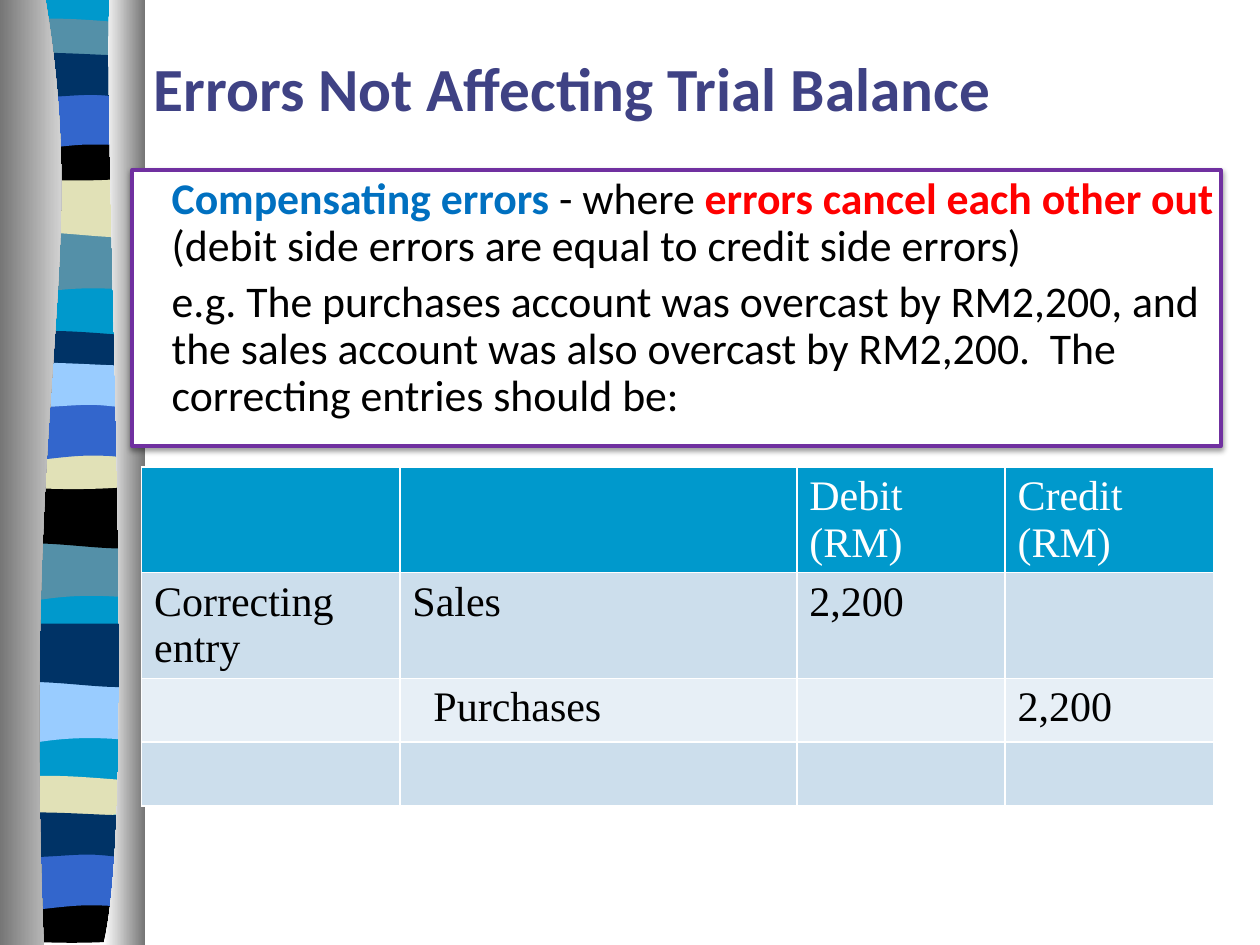
from lxml.etree import SubElement
from pptx import Presentation
from pptx.dml.color import RGBColor
from pptx.enum.shapes import MSO_SHAPE
from pptx.enum.text import MSO_ANCHOR, PP_ALIGN
from pptx.oxml.ns import qn
from pptx.util import Pt

TITLE = "Errors Not Affecting Trial Balance"
BODY = [
    [("Compensating errors ", "0070C0", True),
     ("- where ", "000000", False),
     ("errors cancel each other out ", "FF0000", True),
     ("(debit side errors are equal to credit side errors)", "000000", False)],
    [("e.g. The purchases account was overcast by RM2,200, and the sales account "
      "was also overcast by RM2,200.  The correcting entries should be:", "000000", False)],
]
ROWS = [
    ["", "", "Debit (RM)", "Credit (RM)"],
    ["Correcting entry", "Sales", "2,200", ""],
    ["", "Purchases", "", "2,200"],
    ["", "", "", ""],
]
INDENTED = {"Purchases"}
COL_WIDTHS = [147.6, 226.8, 119, 119]
ROW_HEIGHT = 30.1
ROW_FILLS = ["0099CC", "CCDEEC", "E7EFF6", "CCDEEC"]

# Outlines in points: a pair is a corner, six numbers are a cubic curve.
BANDS = {
    "dip": [(78, 0), (78, 34), (24, 28, 13, 40, 0, 34), (0, 0)],
    "swell": [(78, 0), (78, 34.5), (65, 40, 24, 30, 0, 34.5), (0, 0)],
    "lens": [(78, 0), (78, 17.5), (65, 20.5, 13, 20.5, 0, 17.5), (0, 0),
             (5, -3.5, 17, -3, 29.5, -3), (43, -3, 68, -0.5, 78, 0)],
    "bowl": [(78, 0), (78, 23.5), (65, 27, 13, 27, 0, 23.5), (0, 0),
             (47, 3.5, 60.5, 0, 78, 0)],
    "arch": [(78, 0), (78, 34), (65.5, 30, 60.5, 30, 47.5, 30),
             (34.5, 30, 11.5, 34, 0, 34), (0, 0)],
    "ripple": [(78, 0), (78, 22.5), (73, 26, 61, 22.5, 48, 22.5),
               (35, 22.5, 8, 26, 0, 22.5), (0, 0),
               (11, -3.5, 53, 0, 66, 0), (79, 0, 76, 0, 78, 0)],
}
# Each group: left, then (colour, top) for the bands in the order above.
BAND_GROUPS = [
    (4, [("5490A8", 132.5), ("E1E1B7", 99.4), ("5490A8", 13.7),
         ("000000", 77), ("3366CC", 52.6), ("003366", 31.7)]),
    (3, [("5490A8", 308.2), ("000000", 277.2), ("003366", 192.2),
         ("E1E1B7", 253.4), ("3366CC", 230.4), ("99CCFF", 208.8)]),
    (2, [("99CCFF", 389.5), ("003366", 356.4), ("E1E1B7", 446.4),
         ("000000", 512.6), ("3366CC", 487.4), ("003366", 465.8)]),
]
BASE = [(82, 0), (82, 538), (4, 538), (4, 0)]
PILLARS = [
    ([(26, 0), (52, 155.5, 12.2, 213, 25, 540), (0, 540), (0, 0)], "767676", "FFFFFF"),
    ([(62.6, 0), (59, 90, 79.2, 465, 59, 540), (82.8, 540), (82.8, 0)], "FFFFFF", "767676"),
]


def rgb(value):
    return RGBColor.from_string(value)


def add_run(p, text, size=24, font="Times New Roman", color="000000", bold=False):
    r = p.add_run()
    r.text = text
    r.font.size, r.font.name, r.font.bold = Pt(size), font, bold
    r.font.color.rgb = rgb(color)


def bend(sp, outline):
    """Merge the three line segments of each curve into one cubic segment."""
    segments = iter(list(sp._element.iter(qn("a:lnTo"))))
    for part in outline[1:]:
        first = next(segments)
        if len(part) == 6:
            first.tag = qn("a:cubicBezTo")
            for _ in range(2):
                extra = next(segments)
                first.append(extra[0])
                extra.getparent().remove(extra)


def add_outline(s, outline, left=0, top=0, color=None):
    points = [(Pt(left + part[i]), Pt(top + part[i + 1]))
              for part in outline for i in range(0, len(part), 2)]
    builder = s.shapes.build_freeform(*points[0])
    builder.add_line_segments(points[1:], close=True)
    sp = builder.convert_to_shape()
    bend(sp, outline)
    sp.shadow.inherit = False
    sp.line.fill.background()
    if color:
        sp.fill.solid()
        sp.fill.fore_color.rgb = rgb(color)
    return sp


def add_ribbon(s):
    add_outline(s, BASE, color="0099CC")
    for left, bands in BAND_GROUPS:
        for outline, (color, top) in zip(BANDS.values(), bands):
            add_outline(s, outline, left, top, color)
    for outline, *colors in PILLARS:
        fill = add_outline(s, outline).fill
        fill.gradient()
        fill.gradient_angle = 0
        for stop, color in zip(fill.gradient_stops, colors):
            stop.color.rgb = rgb(color)


def add_shadow(sp):
    sp.shadow.inherit = False
    effects = sp._element.spPr.find(qn("a:effectLst"))
    shadow = SubElement(effects, qn("a:outerShdw"), blurRad=str(Pt(3.1)),
                        dist=str(Pt(1.6)), dir="5400000", rotWithShape="0")
    color = SubElement(shadow, qn("a:srgbClr"), val="000000")
    SubElement(color, qn("a:alpha"), val="38000")


def add_body(s):
    sp = s.shapes.add_shape(MSO_SHAPE.RECTANGLE, Pt(75.6), Pt(97.2), Pt(622), Pt(157.7))
    sp.fill.solid()
    sp.fill.fore_color.rgb = rgb("FFFFFF")
    sp.line.color.rgb = rgb("7030A0")
    sp.line.width = Pt(2.25)
    add_shadow(sp)
    tf = sp.text_frame
    tf.word_wrap = True
    tf.vertical_anchor = MSO_ANCHOR.TOP
    tf.margin_left, tf.margin_right = Pt(22.5), Pt(1.4)
    for i, runs in enumerate(BODY):
        p = tf.add_paragraph() if i else tf.paragraphs[0]
        p.alignment = PP_ALIGN.LEFT
        p.line_spacing, p.space_before = 0.9, Pt(5)
        for text, color, bold in runs:
            add_run(p, text, size=25, font="Calibri", color=color, bold=bold)


def add_entries(s):
    table = s.shapes.add_table(len(ROWS), len(COL_WIDTHS), Pt(80.9), Pt(267), Pt(sum(COL_WIDTHS)),
                               Pt(ROW_HEIGHT * len(ROWS))).table
    for column, width in zip(table.columns, COL_WIDTHS):
        column.width = Pt(width)
    for i, (row, fill) in enumerate(zip(ROWS, ROW_FILLS)):
        for j, text in enumerate(row):
            cell = table.cell(i, j)
            cell.fill.solid()
            cell.fill.fore_color.rgb = rgb(fill)
            p = cell.text_frame.paragraphs[0]
            if text:
                add_run(p, text, color="000000" if i else "FFFFFF")
            else:
                SubElement(p._p, qn("a:endParaRPr"), sz="2400")
            if text in INDENTED:
                cell.margin_left = Pt(19.2)


def add_title(s):
    sp = s.shapes.title
    sp.left, sp.top, sp.width, sp.height = Pt(80.6), Pt(10), Pt(611.3), Pt(79.2)
    s.shapes._spTree.append(sp._element)
    tf = sp.text_frame
    tf.vertical_anchor = MSO_ANCHOR.MIDDLE
    p = tf.paragraphs[0]
    p.alignment = PP_ALIGN.LEFT
    add_run(p, TITLE, size=35, font="Calibri", color="3F4284", bold=True)


def main():
    prs = Presentation()
    prs.slide_width, prs.slide_height = Pt(720), Pt(540)
    s = prs.slides.add_slide(prs.slide_layouts[5])
    add_ribbon(s)
    add_body(s)
    add_title(s)
    add_entries(s)
    prs.save("out.pptx")


if __name__ == "__main__":
    main()
